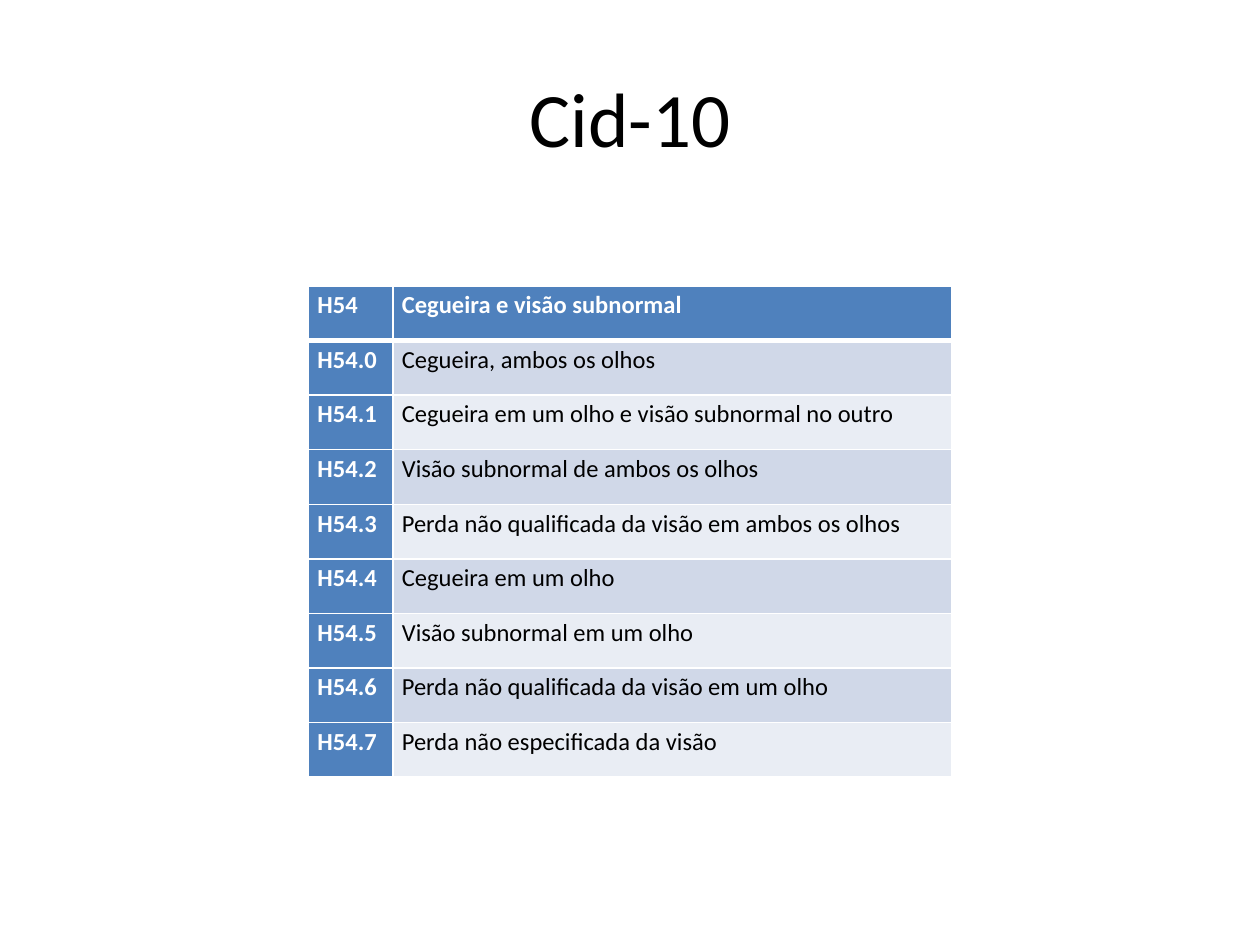
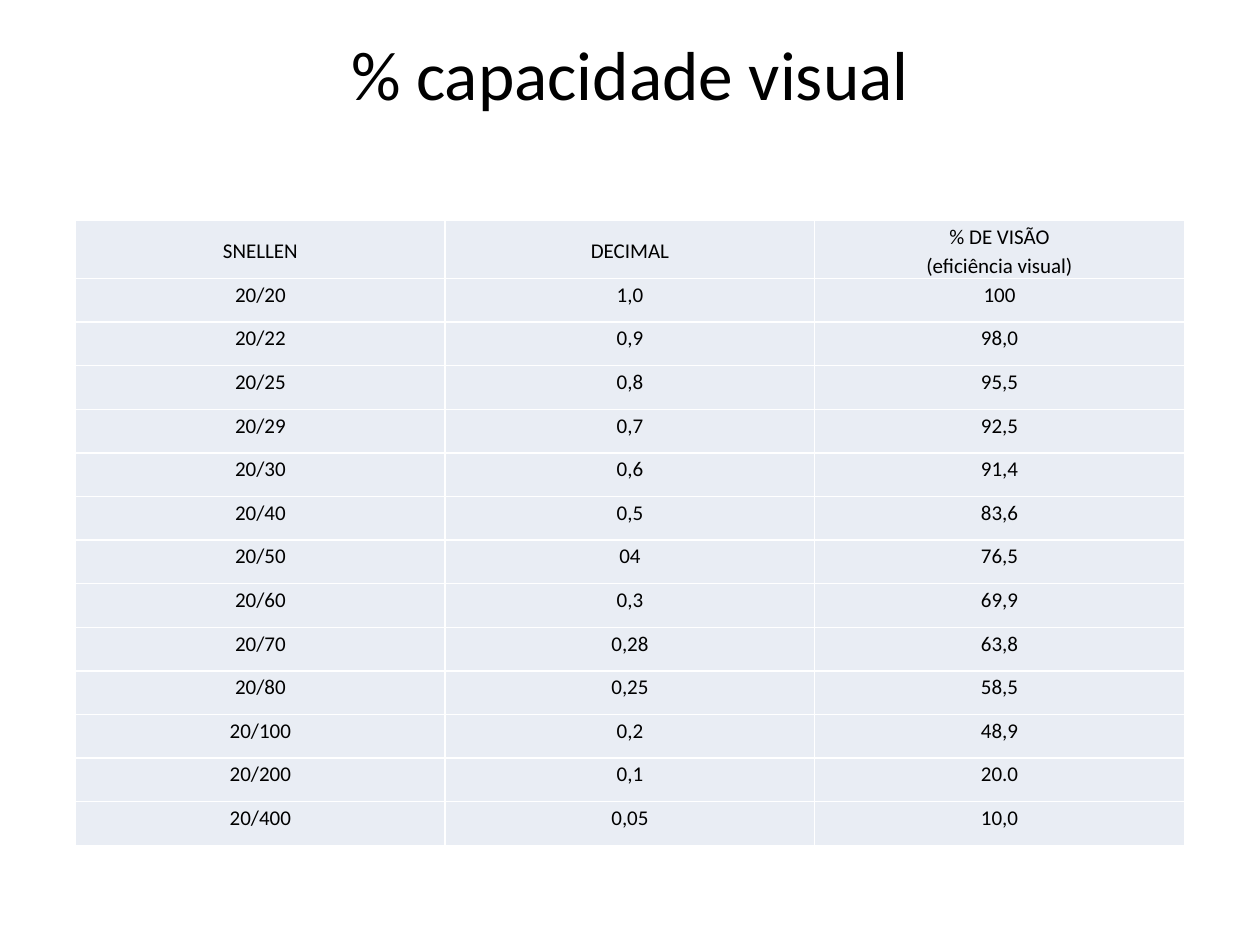
from dataclasses import dataclass

from lxml import etree
from pptx import Presentation
from pptx import util as u
from pptx.dml.color import RGBColor
from pptx.enum import text
from pptx.oxml import ns


@dataclass(frozen=True)
class Theme:
    font: str = "Calibri"
    black: str = "000000"
    white: str = "FFFFFF"
    accent: str = "4F81BD"
    band_dark: str = "D0D8E8"
    band_light: str = "E9EDF4"
    title_size: float = 44
    title_small: float = 39.6
    code_size: float = 14
    acuity_size: float = 12
    line_spacing: float = 1.15
    rule: float = 1
    header_rule: float = 3


THEME = Theme()
CENTER, LEFT = text.PP_ALIGN.CENTER, text.PP_ALIGN.LEFT
TOP, MIDDLE = text.MSO_ANCHOR.TOP, text.MSO_ANCHOR.MIDDLE

CODES = [
    ("H54", "Cegueira e visão subnormal"),
    ("H54.0", "Cegueira, ambos os olhos"),
    ("H54.1", "Cegueira em um olho e visão subnormal no outro"),
    ("H54.2", "Visão subnormal de ambos os olhos"),
    ("H54.3", "Perda não qualificada da visão em ambos os olhos"),
    ("H54.4", "Cegueira em um olho"),
    ("H54.5", "Visão subnormal em um olho"),
    ("H54.6", "Perda não qualificada da visão em um olho"),
    ("H54.7", "Perda não especificada da visão"),
]

ACUITY = [
    ("SNELLEN", "DECIMAL", "% DE VISÃO\n(eficiência visual)"),
    ("20/20", "1,0", "100"),
    ("20/22", "0,9", "98,0"),
    ("20/25", "0,8", "95,5"),
    ("20/29", "0,7", "92,5"),
    ("20/30", "0,6", "91,4"),
    ("20/40", "0,5", "83,6"),
    ("20/50", "04", "76,5"),
    ("20/60", "0,3", "69,9"),
    ("20/70", "0,28", "63,8"),
    ("20/80", "0,25", "58,5"),
    ("20/100", "0,2", "48,9"),
    ("20/200", "0,1", "20.0"),
    ("20/400", "0,05", "10,0"),
]


def style_paragraph(para, size, color, align, bold=False):
    para.alignment = align
    para.font.name = THEME.font
    para.font.size = u.Pt(size)
    para.font.bold = bold
    para.font.color.rgb = RGBColor.from_string(color)


def add_title(page, box, wording, size, anchor=MIDDLE):
    shape = page.shapes.add_textbox(*map(u.Inches, box))
    frame = shape.text_frame
    frame.word_wrap = True
    frame.vertical_anchor = anchor
    frame.margin_top = frame.margin_bottom = 0
    frame.text = wording
    style_paragraph(frame.paragraphs[0], size, THEME.black, CENTER)


def set_borders(cell, top, bottom):
    """Draw white rules on all four sides; widths are in points."""
    properties = cell._tc.get_or_add_tcPr()
    widths = {"lnL": THEME.rule, "lnR": THEME.rule, "lnT": top, "lnB": bottom}
    for side, width in widths.items():
        line = etree.SubElement(properties, ns.qn(f"a:{side}"), w=str(u.Pt(width)))
        fill = etree.SubElement(line, ns.qn("a:solidFill"))
        etree.SubElement(fill, ns.qn("a:srgbClr"), val=THEME.white)


def fill_cell(cell, wording, size, inset, fill, color=THEME.black, bold=False,
              align=LEFT, anchor=TOP, top=THEME.rule, bottom=THEME.rule):
    set_borders(cell, top, bottom)
    cell.fill.solid()
    cell.fill.fore_color.rgb = RGBColor.from_string(fill)
    cell.margin_left = cell.margin_right = u.Inches(inset)
    cell.margin_top = cell.margin_bottom = 0
    cell.vertical_anchor = anchor
    cell.text = wording
    for para in cell.text_frame.paragraphs:
        style_paragraph(para, size, color, align, bold)
        para.line_spacing = THEME.line_spacing


def add_grid(page, box, rows, first_column, first_row):
    """Add a table; what the first column and row leave is shared equally."""
    left, top, width, height = box
    table = page.shapes.add_table(len(rows), len(rows[0]), *map(u.Inches, box)).table
    table.first_row = table.horz_banding = False
    for index, column in enumerate(table.columns):
        rest = (width - first_column) / (len(rows[0]) - 1)
        column.width = u.Inches(rest if index else first_column)
    for index, row in enumerate(table.rows):
        rest = (height - first_row) / (len(rows) - 1)
        row.height = u.Inches(rest if index else first_row)
    return table


def add_code_table(page, box):
    table = add_grid(page, box, CODES, first_column=0.67, first_row=box[3] / len(CODES))
    for r, row in enumerate(CODES):
        band = THEME.band_dark if r % 2 else THEME.band_light
        for c, wording in enumerate(row):
            heading = r == 0 or c == 0
            fill_cell(
                table.cell(r, c), wording, THEME.code_size, inset=0.07,
                fill=THEME.accent if heading else band,
                color=THEME.white if heading else THEME.black,
                bold=heading,
                top=THEME.header_rule if r == 1 else THEME.rule,
                bottom=THEME.header_rule if r == 0 else THEME.rule,
            )


def add_acuity_table(page, box):
    table = add_grid(page, box, ACUITY, first_column=box[2] / 3, first_row=0.45)
    for r, row in enumerate(ACUITY):
        for c, wording in enumerate(row):
            fill_cell(table.cell(r, c), wording, THEME.acuity_size, inset=0.05,
                      fill=THEME.band_light, align=CENTER,
                      anchor=TOP if r else MIDDLE)


def main():
    deck = Presentation()
    deck.slide_width, deck.slide_height = u.Inches(10), u.Inches(7.5)
    blank = deck.slide_layouts[6]

    # Disease codes
    page = deck.slides.add_slide(blank)
    add_title(page, (0.5, 0.3, 9, 1.25), "Cid-10", THEME.title_size)
    add_code_table(page, (2.45, 2.27, 5.1, 3.9))

    # Visual capacity
    page = deck.slides.add_slide(blank)
    add_title(page, (0.5, 0.25, 9, 1.25), "% capacidade visual", THEME.title_small, TOP)
    add_acuity_table(page, (0.6, 1.75, 8.8, 4.95))

    deck.save("out.pptx")


if __name__ == "__main__":
    main()
